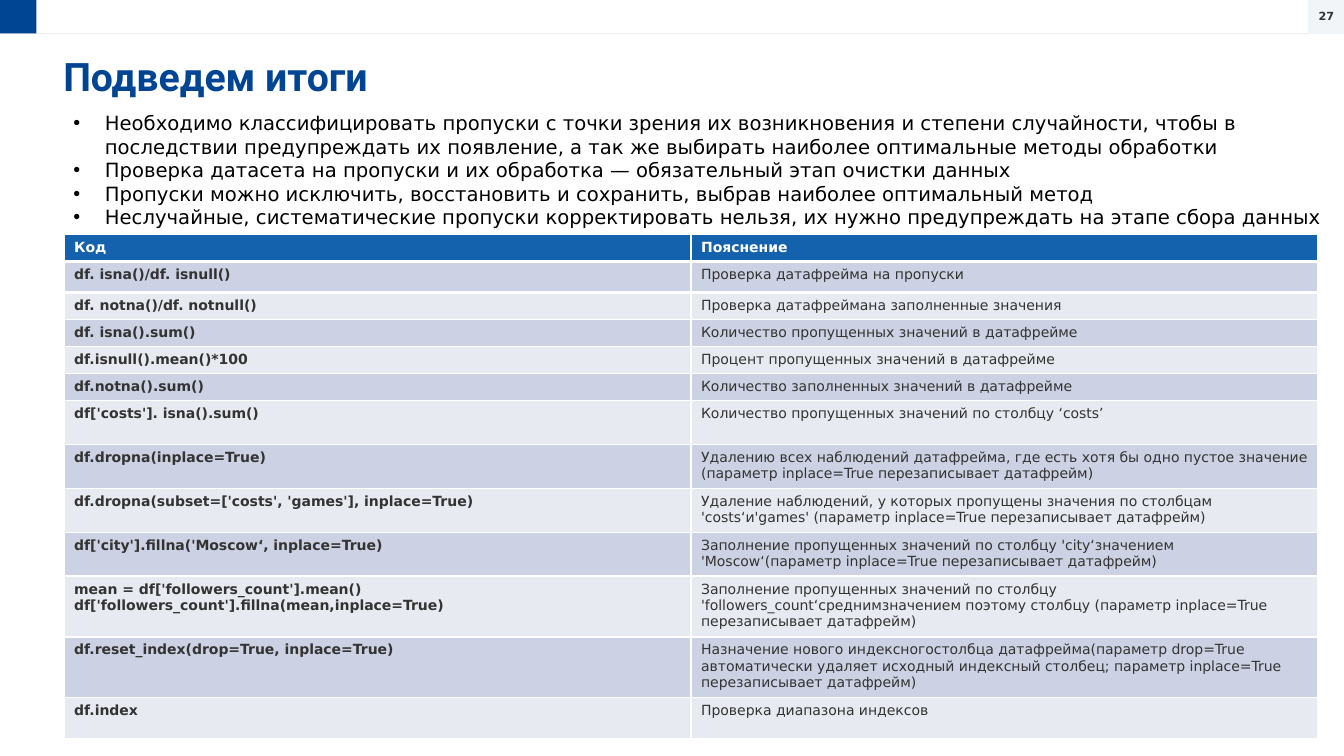
from lxml.etree import SubElement as Sub
from pptx import Presentation
from pptx.dml.color import RGBColor
from pptx.enum.shapes import MSO_CONNECTOR as Conn, MSO_SHAPE as Kind
from pptx.enum.text import MSO_ANCHOR as Anchor, MSO_AUTO_SIZE as Auto, PP_ALIGN as Align
from pptx.oxml.ns import qn
from pptx.util import Pt

COLORS = {
    "blue": "004494", "head": "1461AD", "dark": "CCD2E3", "light": "E7EAF1",
    "rule": "EBEBEE", "tab": "F2F5F8", "text": "333333", "black": "000000",
    "white": "FFFFFF",
}
SANS = "DejaVu Sans"

POINTS = [
    "Необходимо классифицировать пропуски с точки зрения их возникновения и степени случайности, чтобы в последствии предупреждать их появление, а так же выбирать наиболее оптимальные методы обработки",
    "Проверка датасета на пропуски и их обработка — обязательный этап очистки данных",
    "Пропуски можно исключить, восстановить и сохранить, выбрав наиболее оптимальный метод",
    "Неслучайные, систематические пропуски корректировать нельзя, их нужно предупреждать на этапе сбора данных",
]

# Row height, code, explanation
ROWS = [
    (18.7, "Код", "Пояснение"),
    (22, "df. isna()/df. isnull()", "Проверка датафрейма на пропуски"),
    (19.3, "df. notna()/df. notnull()", "Проверка датафреймана заполненные значения"),
    (19.3, "df. isna().sum()", "Количество пропущенных значений в датафрейме"),
    (19.3, "df.isnull().mean()*100", "Процент пропущенных значений в датафрейме"),
    (19.3, "df.notna().sum()", "Количество заполненных значений в датафрейме"),
    (31.4, "df['costs']. isna().sum()", "Количество пропущенных значений по столбцу ‘costs’"),
    (31.4, "df.dropna(inplace=True)",
     "Удалению всех наблюдений датафрейма, где есть хотя бы одно пустое значение (параметр inplace=True перезаписывает датафрейм)"),
    (31.4, "df.dropna(subset=['costs', 'games'], inplace=True)",
     "Удаление наблюдений, у которых пропущены значения по столбцам 'costs‘и'games' (параметр inplace=True перезаписывает датафрейм)"),
    (31.4, "df['city'].fillna('Moscow‘, inplace=True)",
     "Заполнение пропущенных значений по столбцу 'city‘значением 'Moscow‘(параметр inplace=True перезаписывает датафрейм)"),
    (43.5, "mean = df['followers_count'].mean()\ndf['followers_count'].fillna(mean,inplace=True)",
     "Заполнение пропущенных значений по столбцу 'followers_count‘среднимзначением поэтому столбцу (параметр inplace=True перезаписывает датафрейм)"),
    (43.5, "df.reset_index(drop=True, inplace=True)",
     "Назначение нового индексногостолбца датафрейма(параметр drop=True автоматически удаляет исходный индексный столбец; параметр inplace=True перезаписывает датафрейм)"),
    (29.5, "df.index", "Проверка диапазона индексов"),
]


def rgb(name):
    return RGBColor.from_string(COLORS[name])


def paint(item, color):
    item.fill.solid()
    item.fill.fore_color.rgb = rgb(color)


def style(para, size, color, bold=False, face=SANS):
    font = para.font
    font.name, font.size, font.bold = face, Pt(size), bold
    font.color.rgb = rgb(color)


def place(shape, left, top, width, height):
    shape.left, shape.top = Pt(left), Pt(top)
    shape.width, shape.height = Pt(width), Pt(height)


def add_rect(slide, left, top, width, height, color):
    rect = slide.shapes.add_shape(
        Kind.RECTANGLE, Pt(left), Pt(top), Pt(width), Pt(height))
    rect.shadow.inherit = False
    paint(rect, color)
    rect.line.fill.background()


def add_bar(slide):
    """Draw the top strip: rule, emblem block and page number."""
    rule = slide.shapes.add_connector(
        Conn.STRAIGHT, 0, Pt(24.2), Pt(960), Pt(24.2))
    rule.line.color.rgb = rgb("rule")
    rule.line.width = Pt(0.75)
    Sub(rule._element.spPr, qn("a:effectLst"))
    add_rect(slide, -0.5, -0.5, 26.5, 24.5, "blue")
    add_rect(slide, 934, 0, 26, 24.2, "tab")
    box = slide.shapes.add_textbox(Pt(931), Pt(3), Pt(33), Pt(17))
    box.text_frame.word_wrap = True
    para = box.text_frame.paragraphs[0]
    para.text = "27"
    para.alignment = Align.CENTER
    style(para, 8, "text", True)


def set_title(title):
    place(title, 45.2, 37.4, 869, 44.6)
    frame = title.text_frame
    frame.margin_left = frame.margin_right = 0
    frame.margin_top = frame.margin_bottom = 0
    frame.vertical_anchor = Anchor.TOP
    frame.auto_size = Auto.NONE
    frame.text = "Подведем итоги"
    para = frame.paragraphs[0]
    para.alignment = Align.LEFT
    style(para, 28, "blue", True, "Roboto")


def set_list(body):
    """Fill the list, wide enough for the last point to stay on one line."""
    place(body, 45.2, 75.6, 906, 92)
    frame = body.text_frame
    frame.margin_right = 0
    frame.vertical_anchor = Anchor.TOP
    frame.auto_size = Auto.NONE
    frame.text = "\n".join(POINTS)
    for para in frame.paragraphs:
        props = para._p.get_or_add_pPr()
        props.set("marL", str(Pt(22.5)))
        props.set("indent", str(-Pt(22.5)))
        Sub(props, qn("a:buFont")).set("typeface", "Arial")
        Sub(props, qn("a:buChar")).set("char", "•")
        para.space_before = Pt(0)
        style(para, 14, "black")


def rule_off(cell, side, width):
    """Draw a white border on one side of a cell."""
    props = cell._tc.get_or_add_tcPr()
    line = Sub(props, qn("a:" + side))
    line.set("w", str(Pt(width)))
    Sub(Sub(line, qn("a:solidFill")), qn("a:srgbClr")).set("val", COLORS["white"])
    props.insert(0, line)


def add_grid(slide):
    total = sum(row[0] for row in ROWS)
    grid = slide.shapes.add_table(
        len(ROWS), 2, Pt(45.8), Pt(167.6), Pt(895.6), Pt(total)).table
    for r, (height, *texts) in enumerate(ROWS):
        grid.rows[r].height = Pt(height)
        fill = "head" if r == 0 else ("light", "dark")[r % 2]
        for c, text in enumerate(texts):
            cell = grid.cell(r, c)
            paint(cell, fill)
            if r == 0:
                rule_off(cell, "lnB", 3)
            elif r == 1:
                rule_off(cell, "lnT", 3)
            cell.text = text
            for para in cell.text_frame.paragraphs:
                style(para, 10, "text" if r else "white", r == 0 or c == 0)


def main():
    deck = Presentation()
    deck.slide_width, deck.slide_height = Pt(960), Pt(540)
    slide = deck.slides.add_slide(deck.slide_layouts[1])
    set_title(slide.shapes.title)
    set_list(slide.placeholders[1])
    add_bar(slide)
    add_grid(slide)
    deck.save("out.pptx")


if __name__ == "__main__":
    main()
